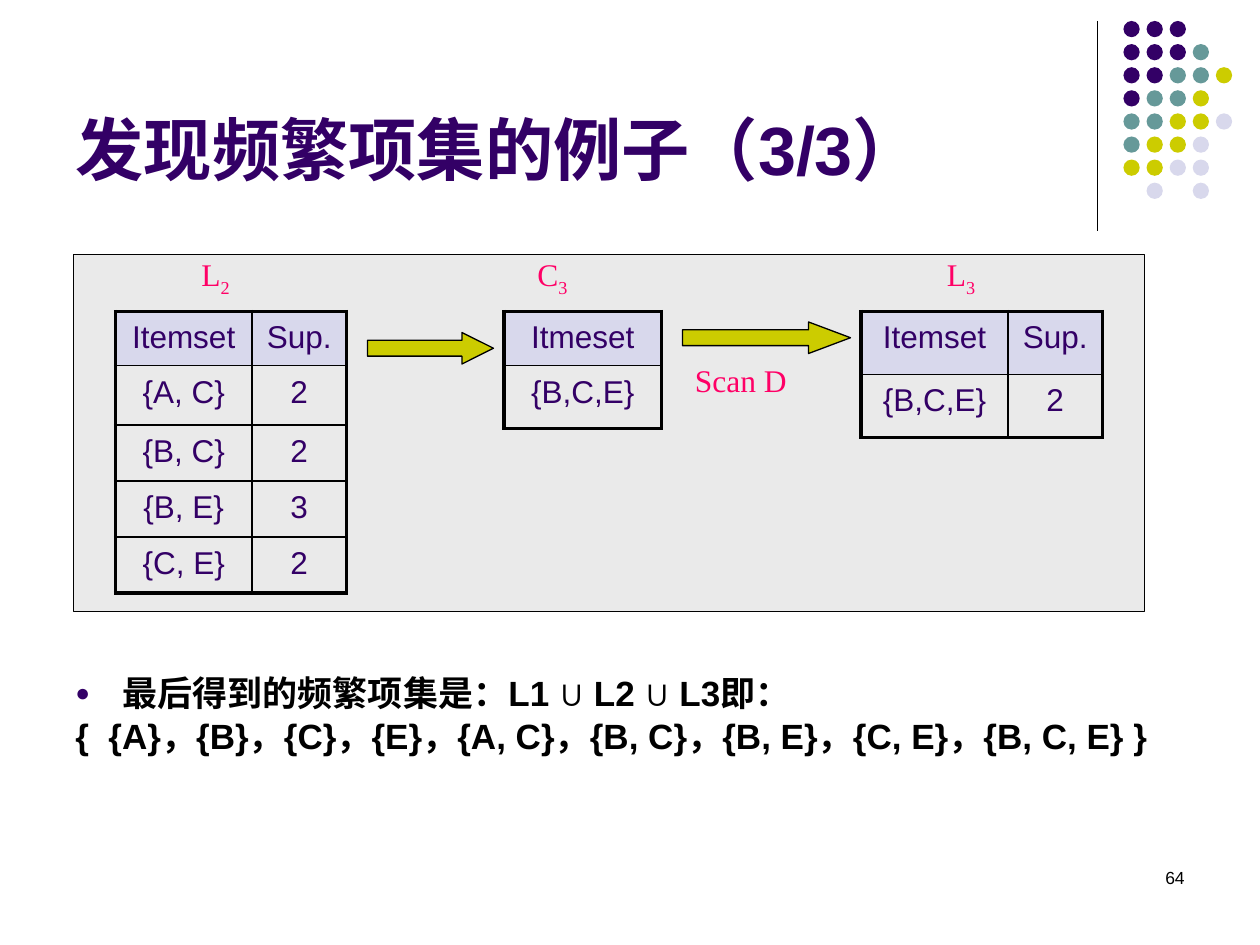
from dataclasses import dataclass

from lxml.etree import SubElement
from pptx import Presentation
from pptx.dml.color import RGBColor as RGB
from pptx.enum.shapes import MSO_CONNECTOR as CONN, MSO_SHAPE as SHAPE
from pptx.enum.text import MSO_ANCHOR as ANCHOR, MSO_AUTO_SIZE as AUTO, PP_ALIGN as ALIGN
from pptx.oxml.ns import qn
from pptx.util import Pt


@dataclass
class Theme:
    purple: RGB = RGB(0x33, 0x00, 0x66)
    teal: RGB = RGB(0x66, 0x99, 0x99)
    olive: RGB = RGB(0xCC, 0xCC, 0x00)
    lilac: RGB = RGB(0xD8, 0xD8, 0xEC)
    panel: RGB = RGB(0xEA, 0xEA, 0xEA)
    pink: RGB = RGB(0xFF, 0x00, 0x66)
    black: RGB = RGB(0, 0, 0)
    sans: str = "Arial"
    serif: str = "Times New Roman"
    title: int = 39
    body: int = 20
    cell: int = 18
    number: int = 10


def add_run(p, text, name, size, color, bold=False):
    r = p.add_run()
    r.text = text
    for key, value in {"name": name, "size": Pt(size), "bold": bold}.items():
        setattr(r.font, key, value)
    r.font.color.rgb = color
    return r


def add_shape(s, kind, box, fill, line=None):
    sp = s.shapes.add_shape(kind, *map(Pt, box))
    sp.shadow.inherit = False
    sp.fill.solid()
    sp.fill.fore_color.rgb = fill
    if line is None:
        sp.line.fill.background()
    else:
        sp.line.color.rgb = line
        sp.line.width = Pt(0.75)
    return sp


t = Theme()
prs = Presentation()
prs.slide_width, prs.slide_height = Pt(720), Pt(540)
s = prs.slides.add_slide(prs.slide_layouts[5])

title = s.shapes.title
for key, value in {"left": 36, "top": 9.5, "width": 594, "height": 102}.items():
    setattr(title, key, Pt(value))
tf = title.text_frame
for key, value in {"vertical_anchor": ANCHOR.BOTTOM, "auto_size": AUTO.NONE, "word_wrap": True}.items():
    setattr(tf, key, value)
p = tf.paragraphs[0]
p.alignment = ALIGN.LEFT
add_run(p, "发现频繁项集的例子（3/3）", t.sans, t.title, t.purple, True)

rule = s.shapes.add_connector(CONN.STRAIGHT, Pt(627), Pt(12), Pt(627), Pt(132))
rule.line.color.rgb = t.black
rule.line.width = Pt(0.75)
SubElement(rule._element.spPr, qn("a:effectLst"))

dot_colors = {"P": t.purple, "T": t.teal, "O": t.olive, "L": t.lilac}
dot_rows = ["PPP", "PPPT", "PPTTO", "PTTO", "TTOOL", "TOOL", "OOLL", " L L"]
for row, codes in enumerate(dot_rows):
    for col, code in enumerate(codes):
        if code in dot_colors:
            box = (642 + 13.2 * col, 12 + 13.2 * row, 9.3, 9.3)
            add_shape(s, SHAPE.OVAL, box, dot_colors[code])

add_shape(s, SHAPE.RECTANGLE, (42, 145.5, 612, 204), t.panel, t.black)

for left, top, width, head in [(210, 190, 72, 1), (390, 184, 96, 1.33)]:
    arrow = add_shape(s, SHAPE.RIGHT_ARROW, (left, top, width, 18), t.olive, t.black)
    arrow.adjustments[0], arrow.adjustments[1] = 0.5, head

tables = [
    (66, [78, 54], [31, 34, 32, 32, 32],
     [("Itemset", "Sup."), ("{A, C}", "2"), ("{B, C}", "2"), ("{B, E}", "3"), ("{C, E}", "2")]),
    (288, [90], [31, 36], [("Itmeset",), ("{B,C,E}",)]),
    (492, [84, 54], [36, 36], [("Itemset", "Sup."), ("{B,C,E}", "2")]),
]
for left, widths, heights, rows in tables:
    frame = s.shapes.add_table(len(heights), len(widths), Pt(left), Pt(178),
                               Pt(sum(widths)), Pt(sum(heights)))
    table = frame.table
    table.first_row = table.horz_banding = False
    for column, width in zip(table.columns, widths):
        column.width = Pt(width)
    for i, (height, texts) in enumerate(zip(heights, rows)):
        table.rows[i].height = Pt(height)
        for j, text in enumerate(texts):
            cell = table.cell(i, j)
            for key, value in {"margin_top": Pt(5), "margin_bottom": Pt(3), "vertical_anchor": ANCHOR.TOP}.items():
                setattr(cell, key, value)
            p = cell.text_frame.paragraphs[0]
            p.alignment = ALIGN.CENTER
            add_run(p, text, t.sans, t.cell, t.purple)
            outer = {"L": j == 0, "R": j == len(widths) - 1, "T": i == 0, "B": i == len(heights) - 1}
            for side, is_outer in outer.items():
                ln = SubElement(cell._tc.get_or_add_tcPr(), qn(f"a:ln{side}"),
                                w=str(Pt(2.25 if is_outer else 1)))
                color = SubElement(SubElement(ln, qn("a:solidFill")), qn("a:srgbClr"))
                color.set("val", str(t.black))
            cell.fill.solid()
            cell.fill.fore_color.rgb = t.panel if i else t.lilac

labels = [("L", "2", 108, 142, 48), ("C", "3", 300, 142, 48),
          ("L", "3", 534, 142, 48), ("Scan D", "", 390, 202.5, 90)]
for text, sub, left, top, width in labels:
    tf = s.shapes.add_textbox(Pt(left), Pt(top), Pt(width), Pt(30)).text_frame
    tf.word_wrap = True
    p = tf.paragraphs[0]
    add_run(p, text, t.serif, t.cell, t.pink)
    if sub:
        r = add_run(p, sub, t.serif, t.cell, t.pink)
        r._r.get_or_add_rPr().set("baseline", "-25000")

tf = s.shapes.add_textbox(Pt(36), Pt(385), Pt(648), Pt(97)).text_frame
tf.word_wrap = True
lines = ["最后得到的频繁项集是：L1 ∪ L2 ∪ L3即：",
         "{  {A}，{B}，{C}，{E}，{A, C}，{B, C}，{B, E}，{C, E}，{B, C, E} }"]
for i, text in enumerate(lines):
    p = tf.add_paragraph() if i else tf.paragraphs[0]
    pPr = p._p.get_or_add_pPr()
    pPr.set("marL", str(Pt(27)))
    pPr.set("indent", str(-Pt(27)))
    p.line_spacing = 0.8
    if i:
        p.space_before = Pt(5)
    else:
        SubElement(SubElement(pPr, qn("a:buClr")), qn("a:srgbClr"), val=str(t.purple))
        SubElement(pPr, qn("a:buSzPct"), val="70000")
        SubElement(pPr, qn("a:buFont"), typeface=t.sans)
        SubElement(pPr, qn("a:buChar"), char="●")
    add_run(p, text, t.sans, t.body, t.black, True)

tf = s.shapes.add_textbox(Pt(516), Pt(492), Pt(168), Pt(36)).text_frame
tf.word_wrap = True
p = tf.paragraphs[0]
p.alignment = ALIGN.RIGHT
add_run(p, "64", t.sans, t.number, t.black)

prs.save("out.pptx")
